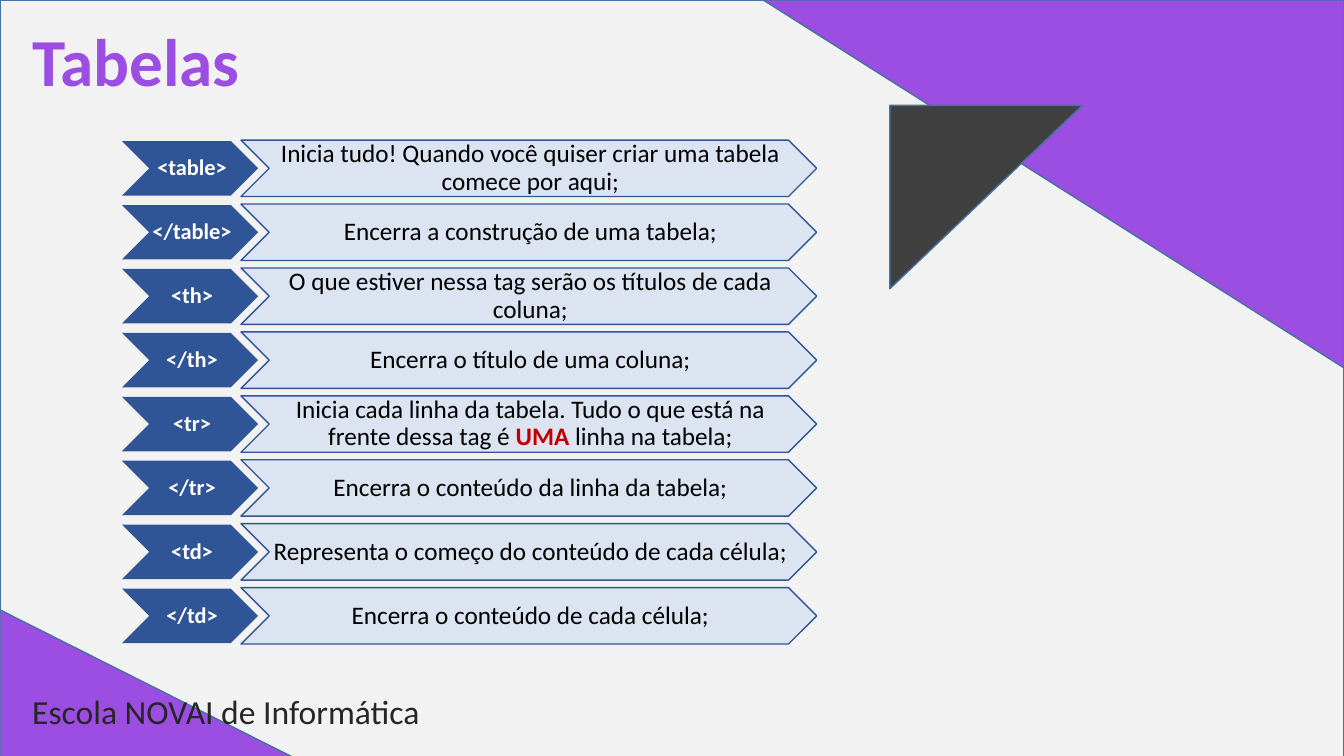
from lxml.etree import SubElement
from pptx import Presentation
from pptx.dml.color import RGBColor
from pptx.enum.shapes import MSO_SHAPE
from pptx.enum.text import MSO_ANCHOR, PP_ALIGN
from pptx.oxml.ns import qn
from pptx.util import Inches, Pt

HUES = {"back": "F2F2F2", "edge": "43739E", "purple": "9C4EE2",
        "dark": "404040", "foot": "262626", "navy": "2F5597",
        "pale": "DAE3F3", "white": "FFFFFF", "black": "000000",
        "red": "C00000"}

# Each row: tag, then runs of its meaning as (text, hue, bold)
ROWS = [
    ("<table>", ["Inicia tudo! Quando você quiser criar uma tabela comece por aqui;"]),
    ("</table>", ["Encerra a construção de uma tabela;"]),
    ("<th>", ["O que estiver nessa tag serão os títulos de cada coluna;"]),
    ("</th>", ["Encerra o título de uma coluna;"]),
    ("<tr>", ["Inicia cada linha da tabela. Tudo o que está na frente dessa tag é ",
              "UMA", " linha na tabela;"]),
    ("</tr>", ["Encerra o conteúdo da linha da tabela;"]),
    ("<td>", ["Representa o começo do conteúdo de cada célula;"]),
    ("</td>", ["Encerra o conteúdo de cada célula;"]),
]


def tint(name):
    return RGBColor.from_string(HUES[name])


def shape(slide, kind, box, fill, line=None, turn=0, alpha=None):
    item = slide.shapes.add_shape(kind, *map(Inches, box))
    item.shadow.inherit = False
    item.rotation = turn
    item.fill.solid()
    item.fill.fore_color.rgb = tint(fill)
    if alpha:
        hue = item.fill._xPr.find(qn("a:solidFill"))[0]
        SubElement(hue, qn("a:alpha"), val=str(alpha * 1000))
    if line:
        item.line.color.rgb = tint(line)
        item.line.width = Pt(1)
    else:
        item.line.fill.background()
    return item


def label(slide, box, runs, size):
    """Add a text box; each run is (text, hue, bold)."""
    frame = slide.shapes.add_textbox(*map(Inches, box)).text_frame
    frame.word_wrap = True
    para = frame.paragraphs[0]
    for text, hue, bold in runs:
        run = para.add_run()
        run.text = text
        run.font.name = "Calibri"
        run.font.size = Pt(size)
        run.font.bold = bold
        run.font.color.rgb = tint(hue)
    return frame


def center(frame, left):
    frame.vertical_anchor = MSO_ANCHOR.MIDDLE
    frame.margin_left = Inches(left)
    frame.margin_right = 0
    frame.margin_top = frame.margin_bottom = Inches(0.01)
    frame.paragraphs[0].alignment = PP_ALIGN.CENTER
    frame.paragraphs[0].line_spacing = 0.9


def decor(slide, box):
    x, y, wide, high = box
    tri = MSO_SHAPE.RIGHT_TRIANGLE
    shape(slide, MSO_SHAPE.RECTANGLE, box, "back", "edge")
    # Corner wedges
    shape(slide, tri, (x, y + high - 1.52, 3, 1.51), "purple", "edge")
    shape(slide, tri, (x + wide - 5.76, y, 5.76, 3.65), "purple", "edge", 180)
    # Dark accent
    shape(slide, tri, (x + 8.87, y + 1, 1.82, 1.91), "dark", "edge", 90)


def row(slide, box, tag, parts):
    x, y, wide, high = box
    # Tag arrow
    shape(slide, MSO_SHAPE.CHEVRON, (x, y + 0.01, 1.35, high - 0.02), "navy")
    center(label(slide, (x + 0.27, y, 0.83, high),
                 [(tag, "white", True)], 16), 0.02)
    # Meaning arrow
    left, span = x + 1.18, wide - 1.18
    shape(slide, MSO_SHAPE.CHEVRON, (left, y, span, high),
          "pale", "navy", alpha=90)
    runs = [(part, "red", True) if part == "UMA" else (part, "black", False)
            for part in parts]
    center(label(slide, (left + high / 2, y, span - high, high), runs, 18), 0.03)


def tags(slide, box):
    x, y, wide, high = box
    tall = 0.56
    step = (high - tall) / (len(ROWS) - 1)
    for i, (tag, parts) in enumerate(ROWS):
        row(slide, (x, y + i * step, wide, tall), tag, parts)


deck = Presentation()
deck.slide_width, deck.slide_height = Inches(13.33), Inches(7.5)
page = deck.slides.add_slide(deck.slide_layouts[6])

decor(page, (0, 0, 13.33, 7.57))
# Footer, rows and title
label(page, (0.22, 6.81, 4.59, 0.5),
      [("Escola NOVAI de Informática", "foot", False)], 24)
tags(page, (1.21, 1.39, 6.89, 5))
label(page, (0.22, 0.14, 7.76, 0.91), [("Tabelas", "purple", True)], 48)

deck.save("out.pptx")
